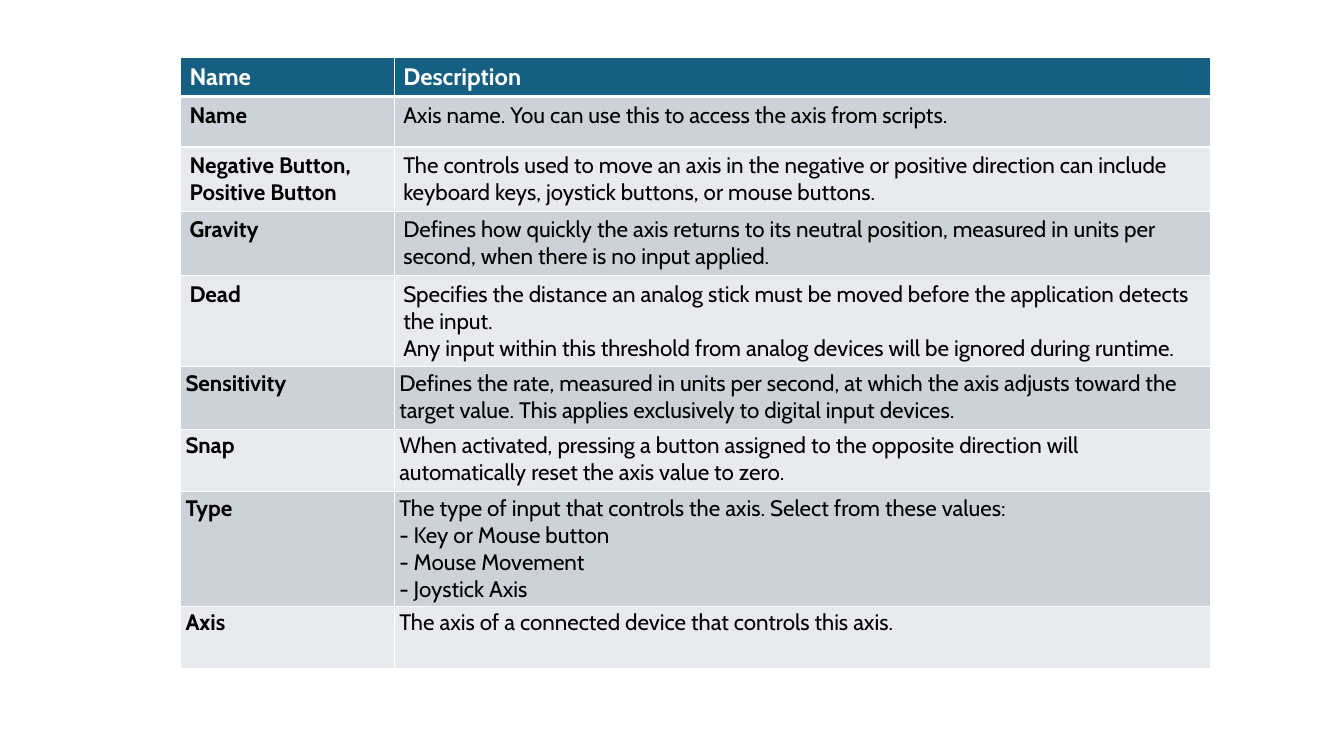
from lxml.etree import SubElement
from pptx import Presentation
from pptx.dml.color import RGBColor as Color
from pptx.oxml.ns import qn
from pptx.util import Inches, Pt

COLORS = {"header": "156082", "odd": "CCD2D8", "even": "E8EAED",
          "white": "FFFFFF", "black": "000000"}
COLUMN_WIDTHS = [2.12, 8.1]
ROW_HEIGHTS = [0.32, 0.5, 0.53, 0.62, 0.76, 0.62, 0.62, 0.95, 0.62]
FIRST_TIGHT_ROW = 5
ROWS = [
    ("Name", ["Description"]),
    ("Name", ["Axis name. You can use this to access the axis from scripts."]),
    ("Negative Button, Positive Button",
     ["The controls used to move an axis in the negative or positive direction can include "
      "keyboard keys, joystick buttons, or mouse buttons."]),
    ("Gravity",
     ["Defines how quickly the axis returns to its neutral position, measured in units per "
      "second, when there is no input applied."]),
    ("Dead",
     ["Specifies the distance an analog stick must be moved before the application detects "
      "the input.",
      "Any input within this threshold from analog devices will be ignored during runtime."]),
    ("Sensitivity",
     ["Defines the rate, measured in units per second, at which the axis adjusts toward the "
      "target value. This applies exclusively to digital input devices."]),
    ("Snap",
     ["When activated, pressing a button assigned to the opposite direction will "
      "automatically reset the axis value to zero."]),
    ("Type",
     ["The type of input that controls the axis. Select from these values:",
      "- Key or Mouse button", "- Mouse Movement", "- Joystick Axis"]),
    ("Axis", ["The axis of a connected device that controls this axis."]),
]


class SlideBuilder:
    """Holds the text style and the current slide."""

    def __init__(self, page, font):
        self.page = page
        self.font = font

    def add_table(self, left, top, widths, heights, rows):
        frame = self.page.shapes.add_table(
            len(rows), len(widths), Inches(left), Inches(top),
            Inches(sum(widths)), Inches(sum(heights)))
        table = frame.table
        for column, width in zip(table.columns, widths):
            column.width = Inches(width)
        for index, (name, description) in enumerate(rows):
            table.rows[index].height = Inches(heights[index])
            self.fill_cell(table.cell(index, 0), index, [name], True)
            self.fill_cell(table.cell(index, 1), index, description, index == 0)

    def fill_cell(self, cell, row, lines, bold):
        side, edge = (0.05, 0.03) if row >= FIRST_TIGHT_ROW else (0.09, 0.05)
        margins = {"margin_left": side, "margin_right": side,
                   "margin_top": edge, "margin_bottom": edge}
        for name, value in margins.items():
            setattr(cell, name, Inches(value))
        self.add_borders(cell, {"L": 1, "R": 1, "T": 3 if row == 1 else 1,
                                "B": 3 if row == 0 else 1})
        shade = "header" if row == 0 else "odd" if row % 2 else "even"
        cell.fill.solid()
        cell.fill.fore_color.rgb = Color.from_string(COLORS[shade])
        self.add_text(cell.text_frame, lines, "white" if row == 0 else "black",
                      {"name": self.font, "size": Pt(17 if row == 0 else 16), "bold": bold})

    def add_text(self, text_frame, lines, color, style):
        for index, line in enumerate(lines):
            para = text_frame.add_paragraph() if index else text_frame.paragraphs[0]
            span = para.add_run()
            span.text = line
            for name, value in style.items():
                setattr(span.font, name, value)
            span.font.color.rgb = Color.from_string(COLORS[color])

    def add_borders(self, cell, widths):
        properties = cell._tc.get_or_add_tcPr()
        for side, width in widths.items():
            line = SubElement(properties, qn(f"a:ln{side}"), w=str(Pt(width)))
            fill = SubElement(line, qn("a:solidFill"))
            SubElement(fill, qn("a:srgbClr"), val=COLORS["white"])


def main():
    deck = Presentation()
    deck.slide_width, deck.slide_height = Inches(13.33), Inches(7.5)
    page = deck.slides.add_slide(deck.slide_layouts[6])
    builder = SlideBuilder(page, "Cabin")
    builder.add_table(1.79, 0.57, COLUMN_WIDTHS, ROW_HEIGHTS, ROWS)
    deck.save("out.pptx")


if __name__ == "__main__":
    main()
